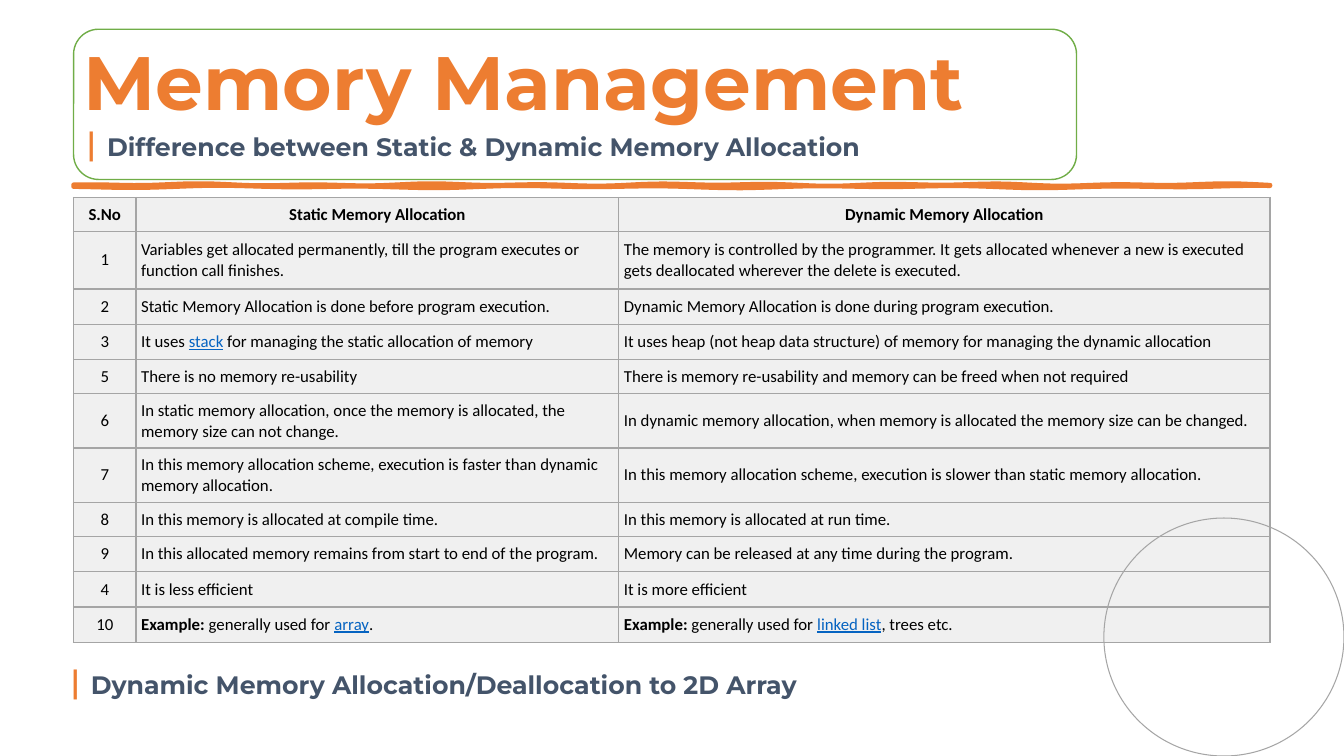
from math import sin

from lxml.etree import SubElement
from pptx import Presentation
from pptx.dml.color import RGBColor
from pptx.enum.shapes import MSO_SHAPE as SHAPE
from pptx.enum.text import MSO_ANCHOR as ANCHOR, PP_ALIGN as ALIGN
from pptx.oxml.ns import qn
from pptx.util import Pt

ORANGE, SLATE, GREEN = "ED7D31", "44546A", "70AD47"
GREY, PALE, BLACK, LINK = "A5A5A5", "F0F0F0", "000000", "0563C1"

COL_WIDTHS = [44.64, 344.88, 465.12]
ROW_HEIGHTS = [22.3, 41, 25.2, 25.2, 23, 35.3, 35.3, 22.3, 25.2, 25.2, 25.2]
ROWS = [
    ("S.No", "Static Memory Allocation", "Dynamic Memory Allocation"),
    ("1", "Variables get allocated permanently, till the program executes or function call finishes.",
     "The memory is controlled by the programmer. It gets allocated whenever a new is executed "
     "gets deallocated wherever the delete is executed."),
    ("2", "Static Memory Allocation is done before program execution.",
     "Dynamic Memory Allocation is done during program execution."),
    ("3", [("It uses ", ""), ("stack", "link"), (" for managing the static allocation of memory", "")],
     "It uses heap (not heap data structure) of memory for managing the dynamic allocation"),
    ("5", "There is no memory re-usability",
     "There is memory re-usability and memory can be freed when not required"),
    ("6", "In static memory allocation, once the memory is allocated, the memory size can not change.",
     "In dynamic memory allocation, when memory is allocated the memory size can be changed."),
    ("7", "In this memory allocation scheme, execution is faster than dynamic memory allocation.",
     "In this memory allocation scheme, execution is slower than static memory allocation."),
    ("8", "In this memory is allocated at compile time.", "In this memory is allocated at run time."),
    ("9", "In this allocated memory remains from start to end of the program.",
     "Memory can be released at any time during the program."),
    ("4", "It is less efficient", "It is more efficient"),
    ("10", [("Example:", "bold"), (" generally used for ", ""), ("array", "link"), (".", "")],
     [("Example:", "bold"), (" generally used for ", ""), ("linked list", "link"), (", trees etc.", "")]),
]


def rgb(hex_color):
    return RGBColor.from_string(hex_color)


def add_run(p, text, size, font, color, bold=False, underline=False):
    r = p.add_run()
    r.text = text
    r.font.size = Pt(size)
    r.font.name = font
    r.font.color.rgb = rgb(color)
    r.font.bold = bold
    r.font.underline = underline


def add_heading(p, text):
    p.line_spacing = 0.9
    add_run(p, "| ", 24, "Calibri", ORANGE, True)
    add_run(p, text, 18, "Montserrat", SLATE, True)


def add_text_frame(slide, x, y, w, h):
    tf = slide.shapes.add_textbox(Pt(x), Pt(y), Pt(w), Pt(h)).text_frame
    tf.word_wrap = True
    tf.vertical_anchor = ANCHOR.MIDDLE
    return tf


def add_outline(slide, kind, x, y, w, h, color, weight):
    sp = slide.shapes.add_shape(kind, Pt(x), Pt(y), Pt(w), Pt(h))
    sp.shadow.inherit = False
    sp.fill.background()
    sp.line.color.rgb = rgb(color)
    sp.line.width = Pt(weight)


def add_brush_rule(slide, x, y, w, h):
    steps = 120
    xs = [x + w * i / steps for i in range(steps + 1)]
    top = [(px, y + 0.5 * sin(px / 13) + 0.4 * sin(px / 29)) for px in xs]
    bottom = [(px, y + h + 0.5 * sin(px / 17 + 2) + 0.4 * sin(px / 37)) for px in reversed(xs)]
    points = [(Pt(px), Pt(py)) for px, py in top + bottom]
    builder = slide.shapes.build_freeform(*points[0])
    builder.add_line_segments(points[1:], close=True)
    sp = builder.convert_to_shape()
    sp.shadow.inherit = False
    sp.fill.solid()
    sp.fill.fore_color.rgb = rgb(ORANGE)
    sp.line.color.rgb = rgb(ORANGE)
    sp.line.width = Pt(3.25)


def add_title(slide, x, y, w, h):
    add_outline(slide, SHAPE.ROUNDED_RECTANGLE, x, y, w, h, GREEN, 1)
    tf = add_text_frame(slide, x, y, w, h)
    p = tf.paragraphs[0]
    p.line_spacing = 0.9
    add_run(p, "Memory Management", 54, "Montserrat", ORANGE, True)
    add_heading(tf.add_paragraph(), "Difference between Static & Dynamic Memory Allocation")


def add_borders(cell):
    tc_pr = cell._tc.get_or_add_tcPr()
    for side in ("lnL", "lnR", "lnT", "lnB"):
        ln = SubElement(tc_pr, qn("a:" + side), w=str(Pt(1)))
        fill = SubElement(ln, qn("a:solidFill"))
        SubElement(fill, qn("a:srgbClr"), val=GREY)


def fill_cell(cell, content, header, centred):
    add_borders(cell)
    cell.fill.solid()
    cell.fill.fore_color.rgb = rgb(PALE)
    cell.vertical_anchor = ANCHOR.MIDDLE
    cell.margin_left = cell.margin_right = Pt(3.6)
    cell.margin_top = cell.margin_bottom = Pt(5)
    p = cell.text_frame.paragraphs[0]
    p.alignment = ALIGN.CENTER if centred else ALIGN.LEFT
    runs = [(content, "")] if isinstance(content, str) else content
    for text, style in runs:
        link = style == "link"
        add_run(p, text, 12, "Calibri", LINK if link else BLACK, header or style == "bold", link)


def add_comparison(slide, x, y):
    table = slide.shapes.add_table(len(ROWS), len(COL_WIDTHS), Pt(x), Pt(y),
                                   Pt(sum(COL_WIDTHS)), Pt(sum(ROW_HEIGHTS))).table
    table.first_row = table.horz_banding = False
    for col, width in zip(table.columns, COL_WIDTHS):
        col.width = Pt(width)
    for i, (row, height) in enumerate(zip(table.rows, ROW_HEIGHTS)):
        row.height = Pt(height)
        for j, content in enumerate(ROWS[i]):
            fill_cell(table.cell(i, j), content, i == 0, i == 0 or j == 0)


def add_footer(slide, x, y, w, h):
    tf = add_text_frame(slide, x, y, w, h)
    add_heading(tf.paragraphs[0], "Dynamic Memory Allocation/Deallocation to 2D Array")


def main():
    prs = Presentation()
    prs.slide_width, prs.slide_height = Pt(960), Pt(540)
    slide = prs.slides.add_slide(prs.slide_layouts[6])
    left = 52.56
    add_brush_rule(slide, left, 132, sum(COL_WIDTHS), 1.4)
    add_title(slide, left, 20.9, 716.4, 107.3)
    add_comparison(slide, left, 141)
    add_outline(slide, SHAPE.OVAL, 788.5, 370, 171.5, 170, GREY, 0.75)
    add_footer(slide, 41, 470.2, 611.3, 36)
    prs.save("out.pptx")


if __name__ == "__main__":
    main()
